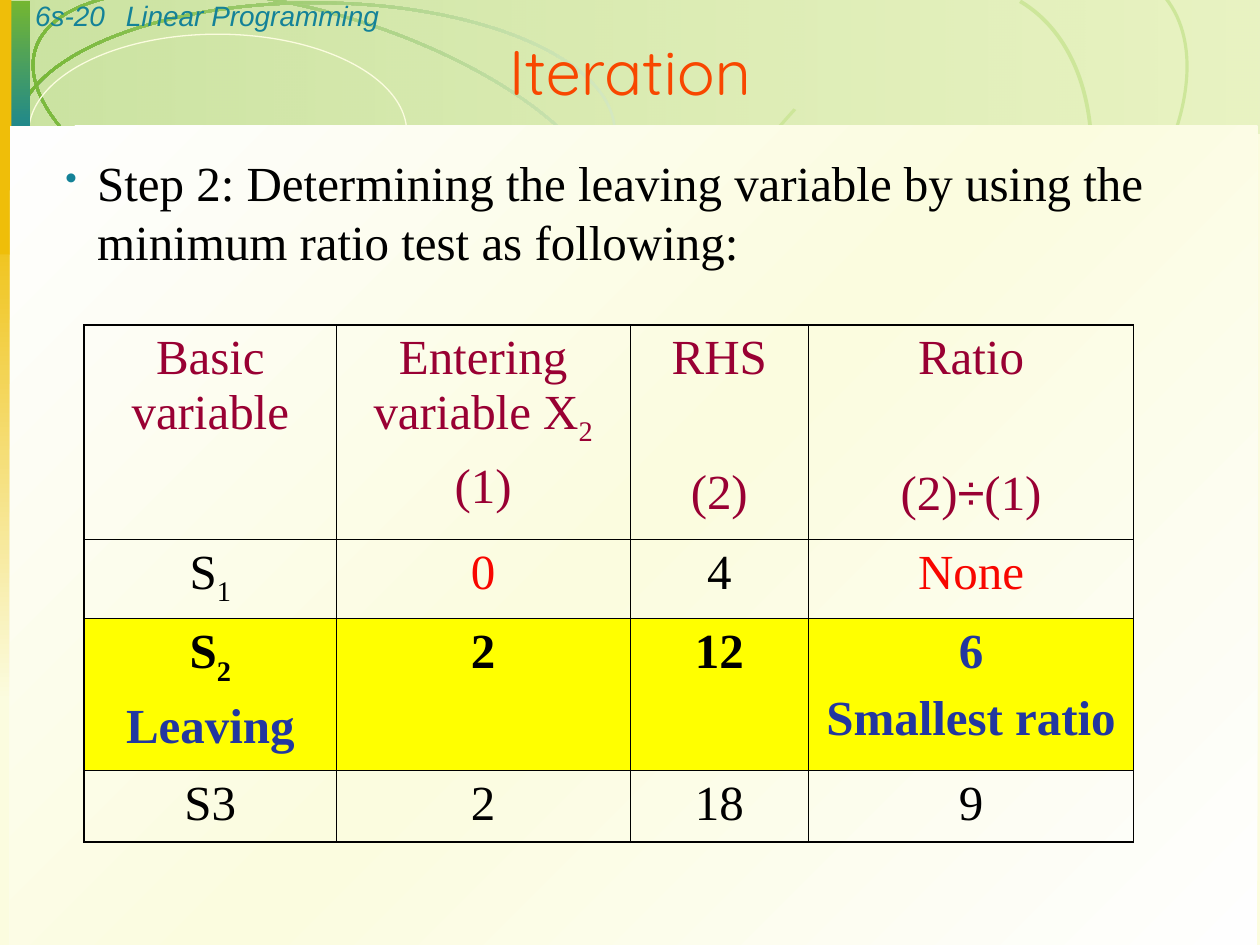
import pptx
import pptx.util
import pptx.dml.color
import pptx.enum.shapes
import pptx.enum.text
import pptx.oxml.ns
from lxml import etree

Cm, Pt = pptx.util.Cm, pptx.util.Pt
qn = pptx.oxml.ns.qn
SHAPE = pptx.enum.shapes.MSO_SHAPE
ALIGN = pptx.enum.text.PP_ALIGN
ANCHOR = pptx.enum.text.MSO_ANCHOR

SERIF = "Times New Roman"
CREAM, TEAL, GREEN, PALE, LIME, GOLD = "FBFCDF", "148298", "74B632", "D4E8C0", "CDE69A", "EFBE09"
BLACK, MAROON, RED, BLUE, YELLOW = "000000", "990033", "F80600", "2237A0", "FFFF00"

# kind, box, colours with opacity, gradient angle, rotation, flipped
DECOR = [
    ("RECTANGLE", (0.03, 0, 25.37, 2.69), [("BCDD7B", 29), (GREEN, 36)], 180, 0, False),
    ("BLOCK_ARC", (0.41, 0.28, 12.12, 5.05), [(PALE, 100), (GREEN, 100)], 162, 17.5, False),
    ("OVAL", (0.58, 0.69, 7.62, 3.96), [], 0, 0, False),
    ("RECTANGLE", (0, 3.94, 0.56, 10.19), [(GOLD, 100), (CREAM, 100)], 90, 0, False),
    ("BLOCK_ARC", (12.88, 0.61, 12.12, 6.58), [(LIME, 100)], 0, 318.2, True),
    ("BLOCK_ARC", (11.43, 1.32, 12.12, 7.77), [(LIME, 100)], 0, 300.7, True),
    ("BLOCK_ARC", (0.3, 0.03, 12.12, 5.26), [(PALE, 100), (GREEN, 100)], 180, 0, False),
    ("RECTANGLE", (0.03, 0.03, 0.58, 2.9), [(GREEN, 100), (TEAL, 100)], 90, 0, False),
    ("RECTANGLE", (0, 0, 0.23, 5.13), [(GOLD, 100)], 0, 0, False),
    ("RECTANGLE", (0.2, 2.54, 25.15, 16.51),
     [("FEFEFE", 100), (CREAM, 100), ("FEFEFE", 100)], 225, 0, False),
]
STEP = "Step 2: Determining the leaving variable by using the minimum ratio test as following:"
COLS = [5.08, 5.92, 3.6, 6.55]
ROWS = [4.32, 1.6, 3.05, 1.45]
GAP, WIDE_GAP = 7, 46
CELLS = [
    [[("Basic variable", MAROON, GAP)],
     [("Entering variable X_2", MAROON, GAP), ("(1)", MAROON, GAP)],
     [("RHS", MAROON, GAP), ("(2)", MAROON, WIDE_GAP)],
     [("Ratio", MAROON, GAP), ("(2)÷(1)", MAROON, WIDE_GAP)]],
    [[("S_1", BLACK, GAP)], [("0", RED, GAP)], [("4", BLACK, GAP)], [("None", RED, GAP)]],
    [[("S_2", BLACK, GAP), ("Leaving", BLUE, GAP)], [("2", BLACK, GAP)], [("12", BLACK, GAP)],
     [("6", BLUE, GAP), ("Smallest ratio", BLUE, GAP)]],
    [[(text, BLACK, GAP)] for text in ("S3", "2", "18", "9")],
]
LEAVING_ROW = 2


def rgb(value):
    return pptx.dml.color.RGBColor.from_string(value)


def paint(fill, stops, angle):
    if not stops:
        fill.background()
    elif len(stops) == 1:
        fill.solid()
        fill.fore_color.rgb = rgb(stops[0][0])
    else:
        fill.gradient()
        fill.gradient_angle = 360 - angle


def set_stops(sp, stops):
    gs_list = sp.element.spPr.find(".//" + qn("a:gsLst"))
    for gs in list(gs_list):
        gs_list.remove(gs)
    for i, (color, opacity) in enumerate(stops):
        gs = etree.SubElement(gs_list, qn("a:gs"), pos=str(100000 * i // (len(stops) - 1)))
        clr = etree.SubElement(gs, qn("a:srgbClr"), val=color)
        if opacity < 100:
            etree.SubElement(clr, qn("a:alpha"), val=str(opacity * 1000))


def add_decor(s, kind, box, stops, angle, rotation, flipped):
    sp = s.shapes.add_shape(getattr(SHAPE, kind), *map(Cm, box))
    sp.shadow.inherit = False
    sp.rotation = rotation
    paint(sp.fill, stops, angle)
    if len(stops) > 1:
        set_stops(sp, stops)
    if kind == "OVAL":
        sp.line.color.rgb = rgb(CREAM)
        sp.line.width = Pt(0.75)
    else:
        sp.line.fill.background()
    if kind == "BLOCK_ARC":
        for i, value in enumerate((64.8, 0, 0.01)):
            sp.adjustments[i] = value
    if flipped:
        sp.element.spPr.xfrm.set("flipV", "1")


def style(r, size, font, color, italic=False, bold=False):
    r.font.size, r.font.name = Pt(size), font
    r.font.italic, r.font.bold = italic, bold
    r.font.color.rgb = rgb(color)


def add_text(s, box, text, size, font, color, italic=False):
    tf = s.shapes.add_textbox(*map(Cm, box)).text_frame
    tf.word_wrap = True
    tf.text = text
    style(tf.paragraphs[0].runs[0], size, font, color, italic)
    return tf


def add_bullet(p):
    pPr = p._p.get_or_add_pPr()
    pPr.set("marL", str(Cm(0.64)))
    pPr.set("indent", str(-Cm(0.64)))
    clr = etree.SubElement(pPr, qn("a:buClr"))
    etree.SubElement(clr, qn("a:srgbClr"), val=TEAL)
    etree.SubElement(pPr, qn("a:buSzPct"), val="70000")
    etree.SubElement(pPr, qn("a:buChar"), char="•")


def split_runs(text):
    if "_" in text:
        base, sub = text.split("_")
        return [(base, SERIF, False), (sub, SERIF, True)]
    if "÷" in text:
        left, right = text.split("÷")
        return [(left, SERIF, False), ("÷", "Arial", False), (right, SERIF, False)]
    return [(text, SERIF, False)]


def fill_cell(cell, paragraphs, bold):
    tf = cell.text_frame
    for i, (text, color, gap) in enumerate(paragraphs):
        p = tf.add_paragraph() if i else tf.paragraphs[0]
        p.alignment = ALIGN.CENTER
        p.space_before = Pt(gap)
        for part, font, sub in split_runs(text):
            r = p.add_run()
            r.text = part
            style(r, 28, font, color, bold=bold)
            if sub:
                r.font._element.set("baseline", "-25000")


def add_borders(cell, outer):
    tcPr = cell._tc.get_or_add_tcPr()
    for side, is_outer in zip("LRTB", outer):
        ln = etree.SubElement(tcPr, qn("a:ln" + side), w=str(Pt(1.08 if is_outer else 0.45)))
        solid = etree.SubElement(ln, qn("a:solidFill"))
        etree.SubElement(solid, qn("a:srgbClr"), val=BLACK)


def add_ratio_table(s):
    frame = s.shapes.add_table(len(ROWS), len(COLS), Cm(1.7), Cm(6.55), Cm(sum(COLS)), Cm(sum(ROWS)))
    table = frame.table
    table.first_row = table.horz_banding = False
    for column, width in zip(table.columns, COLS):
        column.width = Cm(width)
    for row, height in zip(table.rows, ROWS):
        row.height = Cm(height)
    for i, row in enumerate(CELLS):
        for j, paragraphs in enumerate(row):
            cell = table.cell(i, j)
            leaving = i == LEAVING_ROW
            fill_cell(cell, paragraphs, leaving)
            add_borders(cell, (j == 0, j == len(COLS) - 1, i == 0, i == len(ROWS) - 1))
            paint(cell.fill, [(YELLOW, 100)] if leaving else [], 0)


def main():
    prs = pptx.Presentation()
    prs.slide_width, prs.slide_height = Cm(25.4), Cm(19.05)
    s = prs.slides.add_slide(prs.slide_layouts[6])
    paint(s.background.fill, [(CREAM, 100)], 0)
    for item in DECOR:
        add_decor(s, *item)
    add_text(s, (0.46, -0.15, 2.44, 0.94), "6s-20", 16, "Arial", TEAL, True)
    add_text(s, (2.29, -0.15, 22.02, 0.94), "Linear Programming", 16, "Arial", TEAL, True)
    tf = add_text(s, (0, 0.15, 25.4, 2.54), "Iteration", 36, "Quicksand", "F84700")
    tf.vertical_anchor = ANCHOR.MIDDLE
    tf.paragraphs[0].alignment = ALIGN.CENTER
    tf = add_text(s, (1.07, 2.95, 24.33, 4.27), STEP, 28, SERIF, BLACK)
    tf.paragraphs[0].space_before = Pt(GAP)
    add_bullet(tf.paragraphs[0])
    add_ratio_table(s)
    prs.save("out.pptx")


if __name__ == "__main__":
    main()
